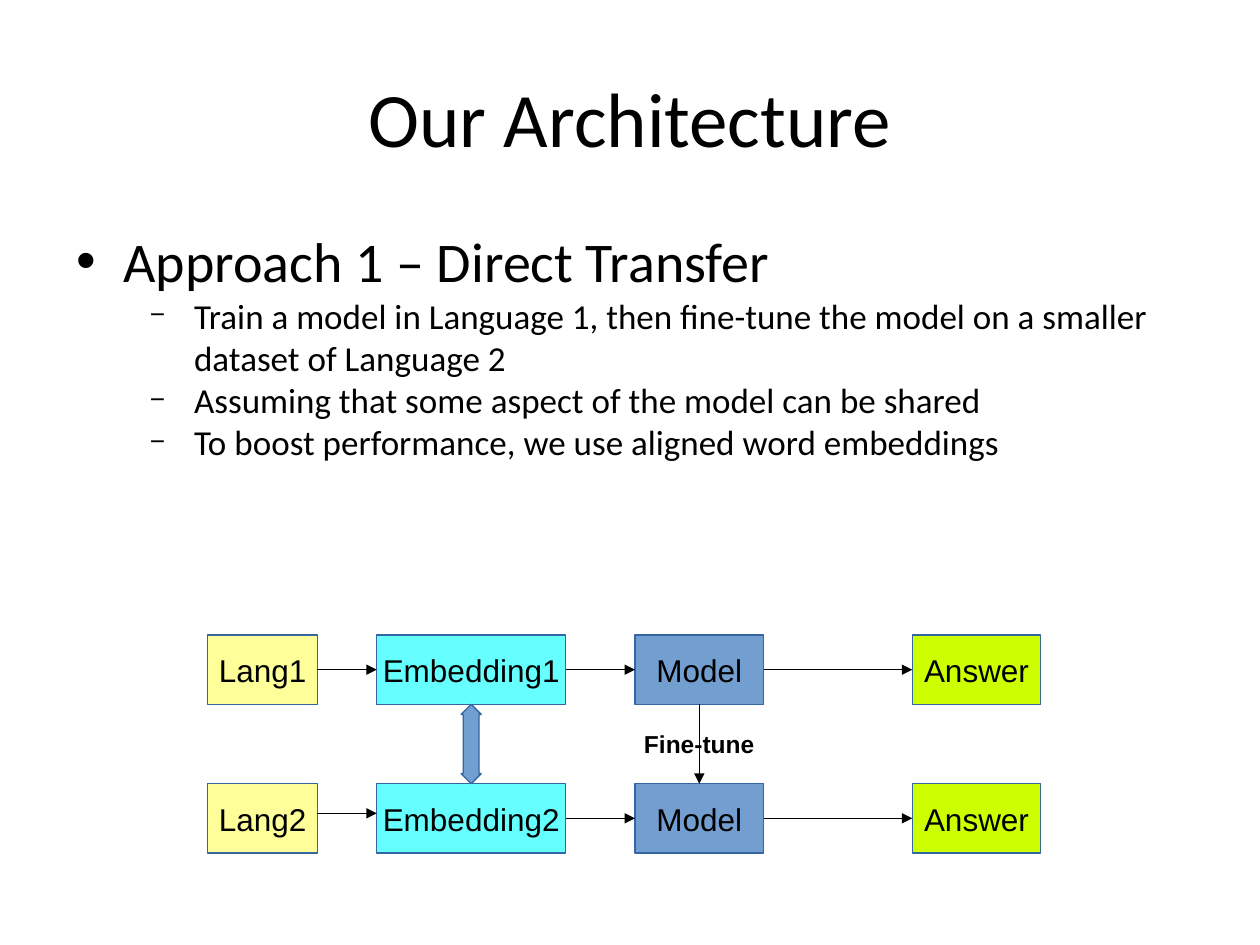
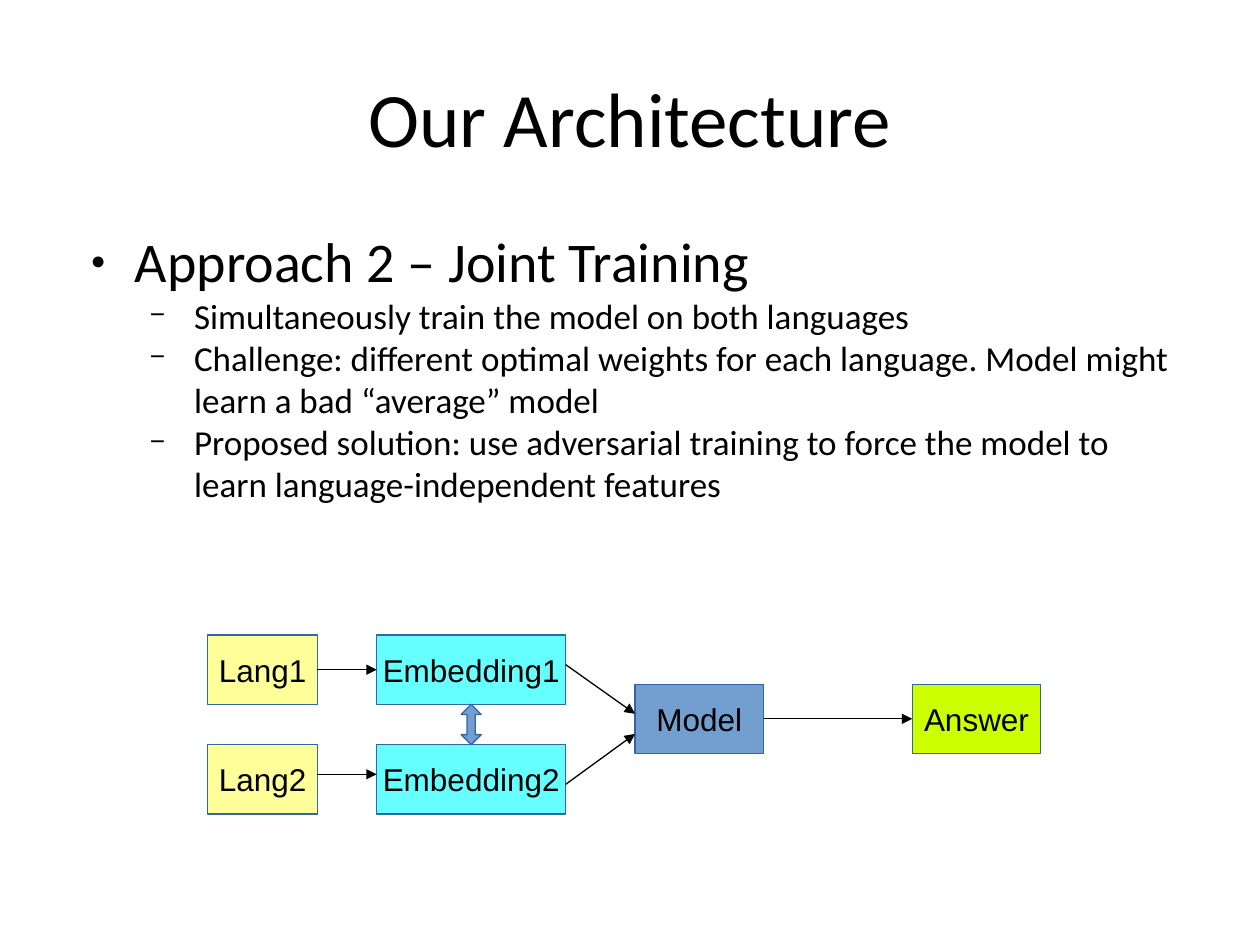
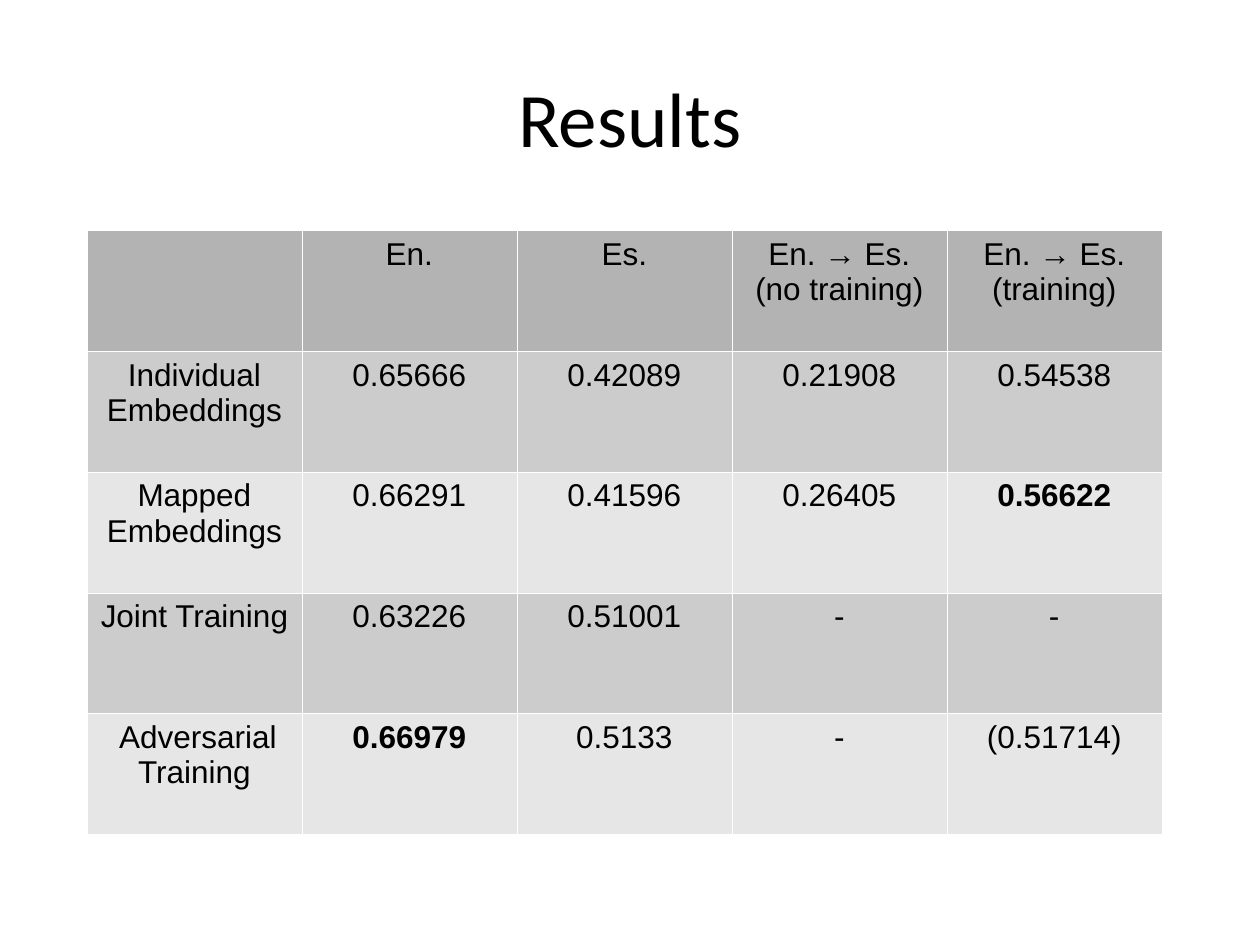
from lxml.etree import SubElement
from pptx import Presentation
from pptx.dml.color import RGBColor
from pptx.enum.shapes import MSO_CONNECTOR as Connector, MSO_SHAPE as Shape
from pptx.enum.text import MSO_ANCHOR as Anchor, MSO_AUTO_SIZE as AutoSize, PP_ALIGN as Align
from pptx.oxml.ns import qn
from pptx.util import Inches, Pt

BLACK = RGBColor(0x00, 0x00, 0x00)
WHITE = RGBColor(0xFF, 0xFF, 0xFF)
BLUE = RGBColor(0x72, 0x9F, 0xCF)
OUTLINE = RGBColor(0x34, 0x65, 0xA4)
YELLOW = RGBColor(0xFF, 0xFF, 0x99)
CYAN = RGBColor(0x66, 0xFF, 0xFF)
LIME = RGBColor(0xCC, 0xFF, 0x00)
HEADER_GREY = RGBColor(0xB3, 0xB3, 0xB3)
BAND_GREYS = (RGBColor(0xCC, 0xCC, 0xCC), RGBColor(0xE6, 0xE6, 0xE6))

TITLE_AREA = (0.5, 0.3, 9, 1.25)
BODY_AREA = (0.5, 1.75, 9, 4.95)
TABLE_AREA = (0.69, 1.83, 8.53, 4.79)
BOX_HEIGHT = 0.55
LINE_WIDTH = 0.75
ALIGNMENT_WIDTH = 0.16
FINE_TUNE_SIZE = (1.2, 0.4)

# stage: left, width, fill
STAGES = {
    "Lang": (1.65, 0.87, YELLOW),
    "Embedding": (2.99, 1.5, CYAN),
    "Model": (5.04, 1.02, BLUE),
    "Answer": (7.24, 1.02, LIME),
}

# bullet: character, left margin, hanging indent, size in percent
SUB_BULLET = ("−", 0.94, -0.35, 75)

# boxes: key -> (stage, label, top)
# flows: from, to, shift of the start and of the end from the box middle
APPROACHES = [
    {
        "title": "Our Architecture",
        "heading": "Approach 1 – Direct Transfer",
        "bullet": ("•", 0.38, -0.37, 100),
        "points": [
            "Train a model in Language 1, then fine-tune the model on a smaller dataset of Language 2",
            "Assuming that some aspect of the model can be shared",
            "To boost performance, we use aligned word embeddings",
        ],
        "boxes": {
            "model1": ("Model", "Model", 5.04),
            "lang1": ("Lang", "Lang1", 5.04),
            "lang2": ("Lang", "Lang2", 6.22),
            "embedding1": ("Embedding", "Embedding1", 5.04),
            "embedding2": ("Embedding", "Embedding2", 6.22),
            "answer1": ("Answer", "Answer", 5.04),
            "model2": ("Model", "Model", 6.22),
            "answer2": ("Answer", "Answer", 6.22),
        },
        "flows": [
            ("lang1", "embedding1", 0, 0),
            ("lang2", "embedding2", -0.04, -0.04),
            ("model1", "answer1", 0, 0),
            ("model2", "answer2", 0, 0),
            ("embedding1", "model1", 0, 0),
            ("embedding2", "model2", 0, 0),
        ],
        "fine_tune": ("model1", "model2", "Fine-tune"),
    },
    {
        "title": "Our Architecture",
        "heading": "Approach 2 – Joint Training",
        "bullet": ("●", 0.47, -0.35, 45),
        "points": [
            "Simultaneously train the model on both languages",
            "Challenge: different optimal weights for each language. Model might learn a bad “average” model",
            "Proposed solution: use adversarial training to force the model to learn "
            "language-independent features",
        ],
        "boxes": {
            "model": ("Model", "Model", 5.43),
            "lang1": ("Lang", "Lang1", 5.04),
            "lang2": ("Lang", "Lang2", 5.91),
            "embedding1": ("Embedding", "Embedding1", 5.04),
            "embedding2": ("Embedding", "Embedding2", 5.91),
            "answer": ("Answer", "Answer", 5.43),
        },
        "flows": [
            ("lang1", "embedding1", 0, 0),
            ("lang2", "embedding2", -0.04, -0.04),
            ("embedding1", "model", -0.04, -0.04),
            ("embedding2", "model", 0.04, 0.12),
            ("model", "answer", 0, 0),
        ],
    },
]

# a line break starts a new paragraph
RESULTS = [
    ("", "En.", "Es.", "En. → Es. (no training)", "En. → Es.\n(training)"),
    ("Individual\nEmbeddings", "0.65666", "0.42089", "0.21908", "0.54538"),
    ("Mapped\nEmbeddings", "0.66291", "0.41596", "0.26405", "0.56622"),
    ("Joint Training", "0.63226", "0.51001", "-", "-"),
    (" Adversarial Training", "0.66979", "0.5133", "-", "(0.51714)"),
]
BEST_RESULTS = {"0.56622", "0.66979"}


def place(shape, area):
    shape.left, shape.top, shape.width, shape.height = map(Inches, area)


def add_run(paragraph, text, size, font="Arial", bold=False):
    run = paragraph.add_run()
    run.text = text
    run.font.name = font
    run.font.size = Pt(size)
    run.font.bold = bold
    run.font.color.rgb = BLACK


def add_solid_fill(parent, color):
    SubElement(SubElement(parent, qn("a:solidFill")), qn("a:srgbClr"), val=str(color))


def set_bullet(paragraph, character, margin, indent, percent):
    properties = paragraph._p.get_or_add_pPr()
    properties.set("marL", str(Inches(margin)))
    properties.set("indent", str(Inches(indent)))
    bullet_color = SubElement(properties, qn("a:buClr"))
    SubElement(bullet_color, qn("a:srgbClr"), val=str(BLACK))
    SubElement(properties, qn("a:buSzPct"), val=str(percent * 1000))
    SubElement(properties, qn("a:buFont"), typeface="Arial")
    SubElement(properties, qn("a:buChar"), char=character)


def add_titled_slide(deck, layout_index, title):
    slide = deck.slides.add_slide(deck.slide_layouts[layout_index])
    place(slide.shapes.title, TITLE_AREA)
    frame = slide.shapes.title.text_frame
    frame.auto_size = AutoSize.NONE
    frame.vertical_anchor = Anchor.MIDDLE
    frame.paragraphs[0].alignment = Align.CENTER
    add_run(frame.paragraphs[0], title, 44, "Calibri")
    return slide


def fill_body(body, approach):
    place(body, BODY_AREA)
    frame = body.text_frame
    frame.auto_size = AutoSize.NONE
    lines = [(approach["heading"], 0, 32, approach["bullet"])]
    lines += [(point, 1, 20, SUB_BULLET) for point in approach["points"]]
    for index, (text, level, size, bullet) in enumerate(lines):
        paragraph = frame.add_paragraph() if index else frame.paragraphs[0]
        paragraph.level = level
        paragraph.space_before = Pt(0)
        set_bullet(paragraph, *bullet)
        add_run(paragraph, text, size, "Calibri")


def style_shape(shape, fill):
    shape.shadow.inherit = False
    shape.fill.solid()
    shape.fill.fore_color.rgb = fill
    shape.line.color.rgb = OUTLINE
    shape.line.width = Pt(LINE_WIDTH)


def add_centred_text(shape, text, size, bold=False):
    frame = shape.text_frame
    frame.word_wrap = False
    frame.vertical_anchor = Anchor.MIDDLE
    frame.paragraphs[0].alignment = Align.CENTER
    add_run(frame.paragraphs[0], text, size, bold=bold)


def add_box(slide, stage, label, top):
    left, width, fill = STAGES[stage]
    box = slide.shapes.add_shape(
        Shape.RECTANGLE, *map(Inches, (left, top, width, BOX_HEIGHT)))
    style_shape(box, fill)
    add_centred_text(box, label, 18)


def add_arrow(slide, *ends):
    arrow = slide.shapes.add_connector(Connector.STRAIGHT, *map(Inches, ends))
    arrow.line.color.rgb = BLACK
    arrow.line.width = Pt(LINE_WIDTH)
    SubElement(arrow.line._get_or_add_ln(), qn("a:tailEnd"), type="triangle")
    SubElement(arrow._element.spPr, qn("a:effectLst"))


def add_alignment(slide, boxes):
    """Join the two embeddings with a double-headed block arrow."""
    left, width, _ = STAGES["Embedding"]
    top = boxes["embedding1"][2] + BOX_HEIGHT
    height = boxes["embedding2"][2] - top
    area = (left + (width - ALIGNMENT_WIDTH) / 2, top, ALIGNMENT_WIDTH, height)
    arrow = slide.shapes.add_shape(Shape.UP_DOWN_ARROW, *map(Inches, area))
    arrow.adjustments[0] = 0.5
    arrow.adjustments[1] = 0.2 * height / ALIGNMENT_WIDTH
    style_shape(arrow, BLUE)


def add_fine_tuning(slide, boxes, source, target, label):
    left, width, _ = STAGES["Model"]
    center = left + width / 2
    start, end = boxes[source][2] + BOX_HEIGHT, boxes[target][2]
    add_arrow(slide, center, start, center, end)
    label_width, label_height = FINE_TUNE_SIZE
    label_area = (center - label_width / 2, (start + end - label_height) / 2,
                  label_width, label_height)
    add_centred_text(slide.shapes.add_textbox(*map(Inches, label_area)), label, 14, bold=True)


def add_approach_slide(deck, approach):
    slide = add_titled_slide(deck, 1, approach["title"])
    fill_body(slide.placeholders[1], approach)
    boxes = approach["boxes"]
    for box in boxes.values():
        add_box(slide, *box)
    for source, target, start_shift, end_shift in approach["flows"]:
        source_stage, _, source_top = boxes[source]
        target_stage, _, target_top = boxes[target]
        left, width, _ = STAGES[source_stage]
        add_arrow(slide, left + width, source_top + BOX_HEIGHT / 2 + start_shift,
                  STAGES[target_stage][0], target_top + BOX_HEIGHT / 2 + end_shift)
    add_alignment(slide, boxes)
    if "fine_tune" in approach:
        add_fine_tuning(slide, boxes, *approach["fine_tune"])


def style_cell(cell, fill):
    properties = cell._tc.get_or_add_tcPr()
    for side in ("lnL", "lnR", "lnT", "lnB"):
        border = SubElement(properties, qn(f"a:{side}"), w=str(Pt(0.06)))
        add_solid_fill(border, WHITE)
    cell.fill.solid()
    cell.fill.fore_color.rgb = fill


def add_results_slide(deck):
    slide = add_titled_slide(deck, 5, "Results")
    table = slide.shapes.add_table(
        len(RESULTS), len(RESULTS[0]), *map(Inches, TABLE_AREA)).table
    table.first_row = table.horz_banding = False
    for row_index, row in enumerate(RESULTS):
        fill = BAND_GREYS[(row_index - 1) % 2] if row_index else HEADER_GREY
        for column_index, text in enumerate(row):
            cell = table.cell(row_index, column_index)
            style_cell(cell, fill)
            frame = cell.text_frame
            for line_index, line in enumerate(text.split("\n")):
                paragraph = frame.add_paragraph() if line_index else frame.paragraphs[0]
                paragraph.alignment = Align.CENTER
                if line:
                    add_run(paragraph, line, 18, bold=text in BEST_RESULTS)


def main():
    deck = Presentation()
    deck.slide_width, deck.slide_height = Inches(10), Inches(7.5)
    for approach in APPROACHES:
        add_approach_slide(deck, approach)
    add_results_slide(deck)
    deck.save("out.pptx")


if __name__ == "__main__":
    main()
